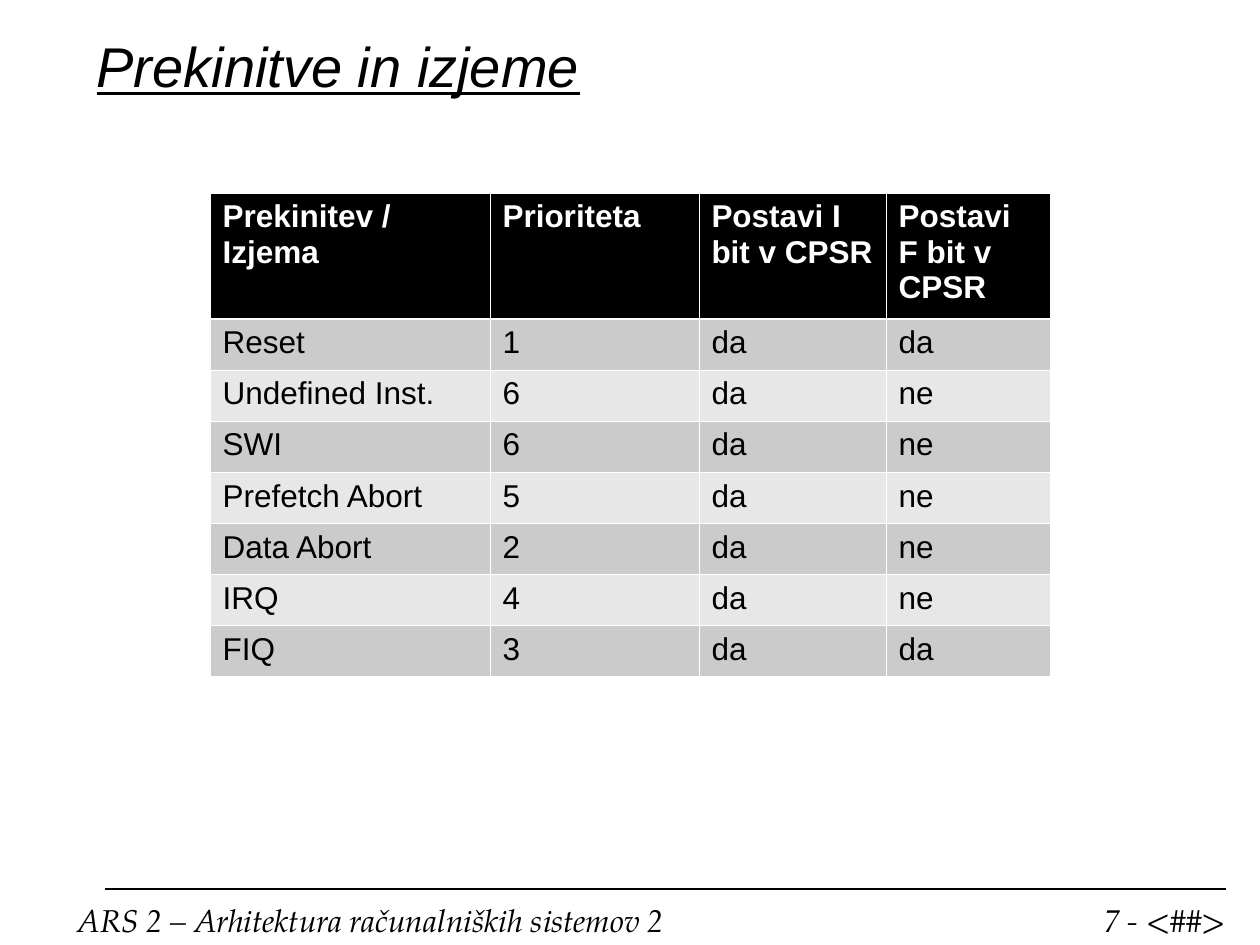
import pptx
import pptx.dml.color
import pptx.enum.shapes
import pptx.enum.text
import pptx.oxml
import pptx.oxml.ns
import pptx.util
from lxml import etree

Pt = pptx.util.Pt
qn = pptx.oxml.ns.qn

COLORS = {"ink": "000000", "paper": "FFFFFF", "dark_band": "CBCBCB", "light_band": "E7E7E7"}
HEADING_FONT = "Arial"
FOOTER_FONT = "TeX Gyre Pagella"

COLUMN_WIDTHS = [160, 119.4, 107, 93.6]
HEADER_HEIGHT = 72
ROW_HEIGHT = 29.2
HEADER = ["Prekinitev / Izjema", "Prioriteta", "Postavi I bit v CPSR", "Postavi F bit v CPSR"]
EXCEPTIONS = [
    ["Reset", "1", "da", "da"],
    ["Undefined Inst.", "6", "da", "ne"],
    ["SWI", "6", "da", "ne"],
    ["Prefetch Abort", "5", "da", "ne"],
    ["Data Abort", "2", "da", "ne"],
    ["IRQ", "4", "da", "ne"],
    ["FIQ", "3", "da", "da"],
]


def rgb(name):
    return pptx.dml.color.RGBColor.from_string(COLORS[name])


def add_span(para, text, font, size, color="ink", bold=False, italic=False, underline=False):
    span = para.add_run()
    span.text = text
    span.font.name = font
    span.font.size = Pt(size)
    span.font.bold = bold
    span.font.italic = italic
    span.font.underline = underline
    span.font.color.rgb = rgb(color)


def add_text(page, left, top, width, height, text, font, size, wrap=True, underline=False):
    """Place one line of italic text in a text box."""
    box = page.shapes.add_textbox(Pt(left), Pt(top), Pt(width), Pt(height))
    frame = box.text_frame
    frame.word_wrap = wrap
    frame.vertical_anchor = pptx.enum.text.MSO_ANCHOR.TOP
    add_span(frame.paragraphs[0], text, font, size, italic=True, underline=underline)
    return box


def add_title(page, left, top, width, height):
    box = add_text(page, left, top, width, height, "Prekinitve in izjeme",
                   HEADING_FONT, 32, underline=True)
    frame = box.text_frame
    frame.vertical_anchor = pptx.enum.text.MSO_ANCHOR.MIDDLE
    frame.margin_top = frame.margin_bottom = 0


def add_footer(page, left, top, width):
    rule = page.shapes.add_connector(
        pptx.enum.shapes.MSO_CONNECTOR.STRAIGHT,
        Pt(left + 22.4), Pt(top), Pt(left + width - 19.6), Pt(top))
    rule.line.color.rgb = rgb("ink")
    rule.line.width = Pt(1)
    etree.SubElement(rule._element.spPr, qn("a:effectLst"))
    add_text(page, left, top + 3, 395, 29, "ARS 2 – Arhitektura računalniških sistemov 2",
             FOOTER_FONT, 18, wrap=False)
    add_text(page, left + width - 96, top + 3, 96, 29, "7 - <##>", FOOTER_FONT, 18)


def set_borders(cell, widths):
    """Draw white borders; widths maps each side's tag to points."""
    properties = cell._tc.get_or_add_tcPr()
    for index, (side, width) in enumerate(widths.items()):
        line = etree.Element(qn(f"a:{side}"), w=str(int(Pt(width))))
        fill = etree.SubElement(line, qn("a:solidFill"))
        etree.SubElement(fill, qn("a:srgbClr"), val=COLORS["paper"])
        properties.insert(index, line)


def add_exception_table(page, left, top):
    rows = [HEADER] + EXCEPTIONS
    heights = [HEADER_HEIGHT] + [ROW_HEIGHT] * len(EXCEPTIONS)
    table = page.shapes.add_table(len(rows), len(HEADER), Pt(left), Pt(top),
                                  Pt(sum(COLUMN_WIDTHS)), Pt(sum(heights))).table
    for column, width in zip(table.columns, COLUMN_WIDTHS):
        column.width = Pt(width)
    for row_index, (values, height) in enumerate(zip(rows, heights)):
        table.rows[row_index].height = Pt(height)
        is_header = row_index == 0
        band = "ink" if is_header else "dark_band" if row_index % 2 else "light_band"
        borders = {"lnL": 0.45, "lnR": 0.45,
                   "lnT": 1.47 if row_index == 1 else 0.45,
                   "lnB": 1.47 if is_header else 0.45}
        for column_index, value in enumerate(values):
            cell = table.cell(row_index, column_index)
            cell.fill.solid()
            cell.fill.fore_color.rgb = rgb(band)
            set_borders(cell, borders)
            add_span(cell.text_frame.paragraphs[0], value, HEADING_FONT, 18,
                     color="paper" if is_header else "ink", bold=is_header)


def main():
    deck = pptx.Presentation()
    deck.slide_width, deck.slide_height = Pt(720), Pt(540)
    page = deck.slides.add_slide(deck.slide_layouts[6])
    add_footer(page, 37.4, 508.2, 682.6)
    add_title(page, 48.2, 15.1, 640.8, 44.6)
    add_exception_table(page, 120, 110.2)
    deck.save("out.pptx")


if __name__ == "__main__":
    main()
